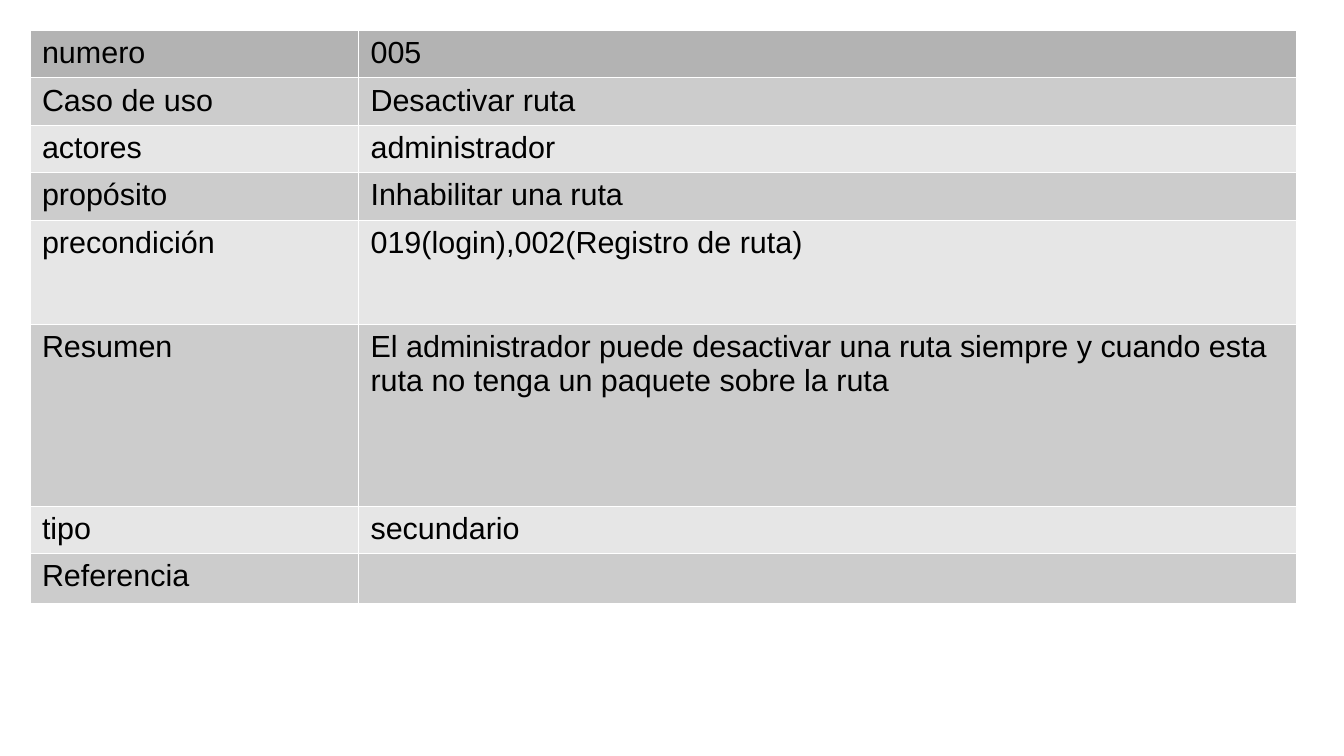
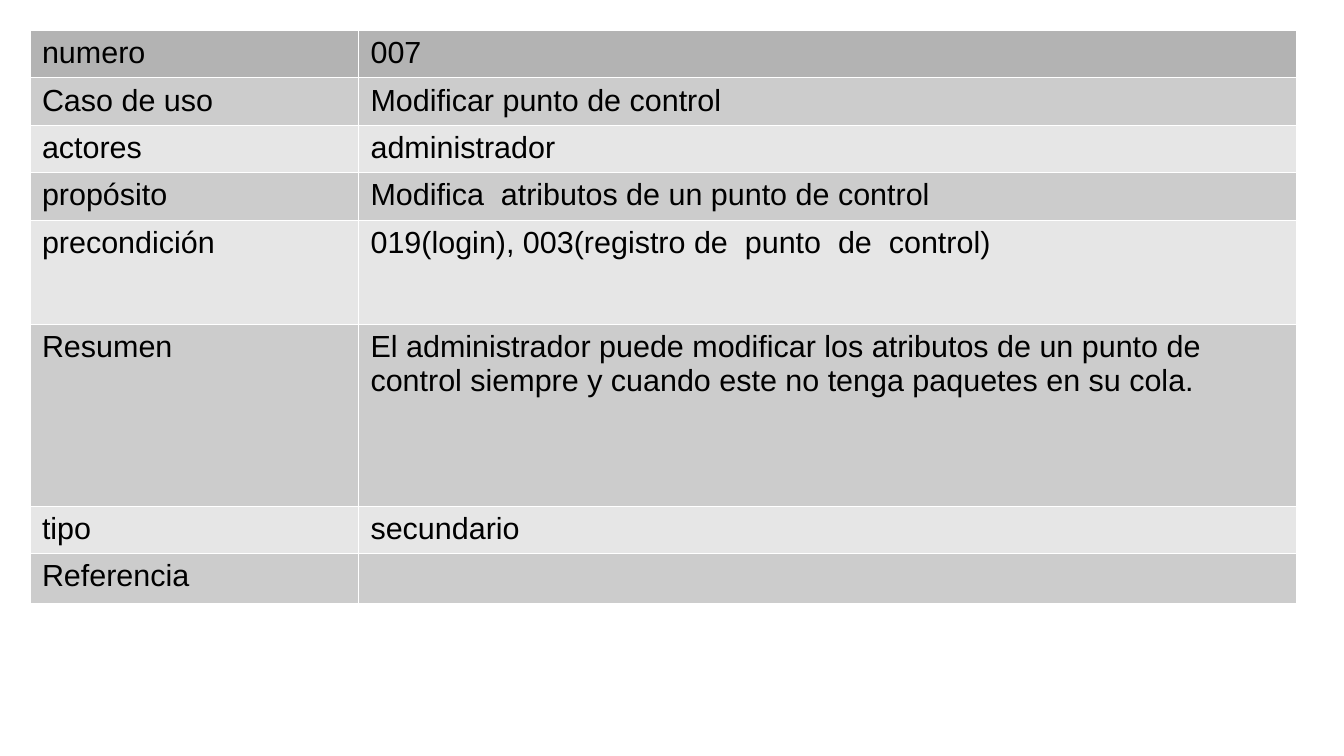
"""Builds two use-case description slides, each holding one table."""
from lxml import etree
from pptx import Presentation
from pptx.dml import color
from pptx.oxml import ns
from pptx.util import Pt

LABELS = ["numero", "Caso de uso", "actores", "propósito",
          "precondición", "Resumen", "tipo", "Referencia"]
USE_CASES = [
    ["005", "Desactivar ruta", "administrador", "Inhabilitar una ruta",
     "019(login),002(Registro de ruta)",
     "El administrador puede desactivar una ruta siempre y cuando esta "
     "ruta no tenga un paquete sobre la ruta",
     "secundario", ""],
    ["007", "Modificar punto de control", "administrador",
     "Modifica  atributos de un punto de control",
     "019(login), 003(registro de  punto  de  control)",
     "El administrador puede modificar los atributos de un punto de control "
     "siempre y cuando este no tenga paquetes en su cola.",
     "secundario", ""],
]

SLIDE_SIZE = (793.5, 446.5)
TABLE_LEFT, TABLE_TOP = 17.6, 17.6
COLUMN_WIDTHS = [194, 553.5]
ROW_HEIGHT = 28.05
TALL_ROWS = {"precondición": 61.5, "Resumen": 107.5}
HEADER_FILL, BAND_FILLS = "B3B3B3", ["E6E6E6", "CCCCCC"]
BORDER_COLOR, BORDER_WIDTH = "FFFFFF", 0.06
TEXT_COLOR = "000000"
TEXT_FORMAT = {"name": "Arial", "size": Pt(18), "bold": False}
MARGINS = {"margin_left": Pt(7.2), "margin_right": Pt(7.2),
           "margin_top": Pt(3.6), "margin_bottom": Pt(3.6)}


def rgb(value):
    """Return the colour for a hex string."""
    return color.RGBColor.from_string(value)


def apply(target, values):
    """Set each named attribute on the target."""
    for name, value in values.items():
        setattr(target, name, value)


def add_borders(cell):
    """Draw the thin border on all four sides of a cell."""
    properties = cell._tc.get_or_add_tcPr()
    for side in ("a:lnL", "a:lnR", "a:lnT", "a:lnB"):
        line = etree.SubElement(properties, ns.qn(side), w=str(Pt(BORDER_WIDTH)))
        fill = etree.SubElement(line, ns.qn("a:solidFill"))
        etree.SubElement(fill, ns.qn("a:srgbClr"), val=BORDER_COLOR)


def fill_cell(cell, content, fill):
    """Give a cell its borders, fill and text."""
    apply(cell, MARGINS)
    add_borders(cell)
    cell.fill.solid()
    cell.fill.fore_color.rgb = rgb(fill)
    if content:
        span = cell.text_frame.paragraphs[0].add_run()
        span.text = content
        apply(span.font, TEXT_FORMAT)
        span.font.color.rgb = rgb(TEXT_COLOR)


def add_use_case(deck, values):
    """Add a slide with the table of one use case."""
    page = deck.slides.add_slide(deck.slide_layouts[6])
    heights = [TALL_ROWS.get(label, ROW_HEIGHT) for label in LABELS]
    box = page.shapes.add_table(
        len(LABELS), len(COLUMN_WIDTHS), Pt(TABLE_LEFT), Pt(TABLE_TOP),
        Pt(sum(COLUMN_WIDTHS)), Pt(sum(heights)))
    table = box.table
    apply(table, {"first_row": False, "horz_banding": False})
    for column, width in zip(table.columns, COLUMN_WIDTHS):
        column.width = Pt(width)
    for index, contents in enumerate(zip(LABELS, values)):
        row = table.rows[index]
        row.height = Pt(heights[index])
        fill = BAND_FILLS[index % 2] if index else HEADER_FILL
        for cell, content in zip(row.cells, contents):
            fill_cell(cell, content, fill)


def main():
    """Build and save the deck."""
    deck = Presentation()
    deck.slide_width, deck.slide_height = map(Pt, SLIDE_SIZE)
    for values in USE_CASES:
        add_use_case(deck, values)
    deck.save("out.pptx")


if __name__ == "__main__":
    main()
